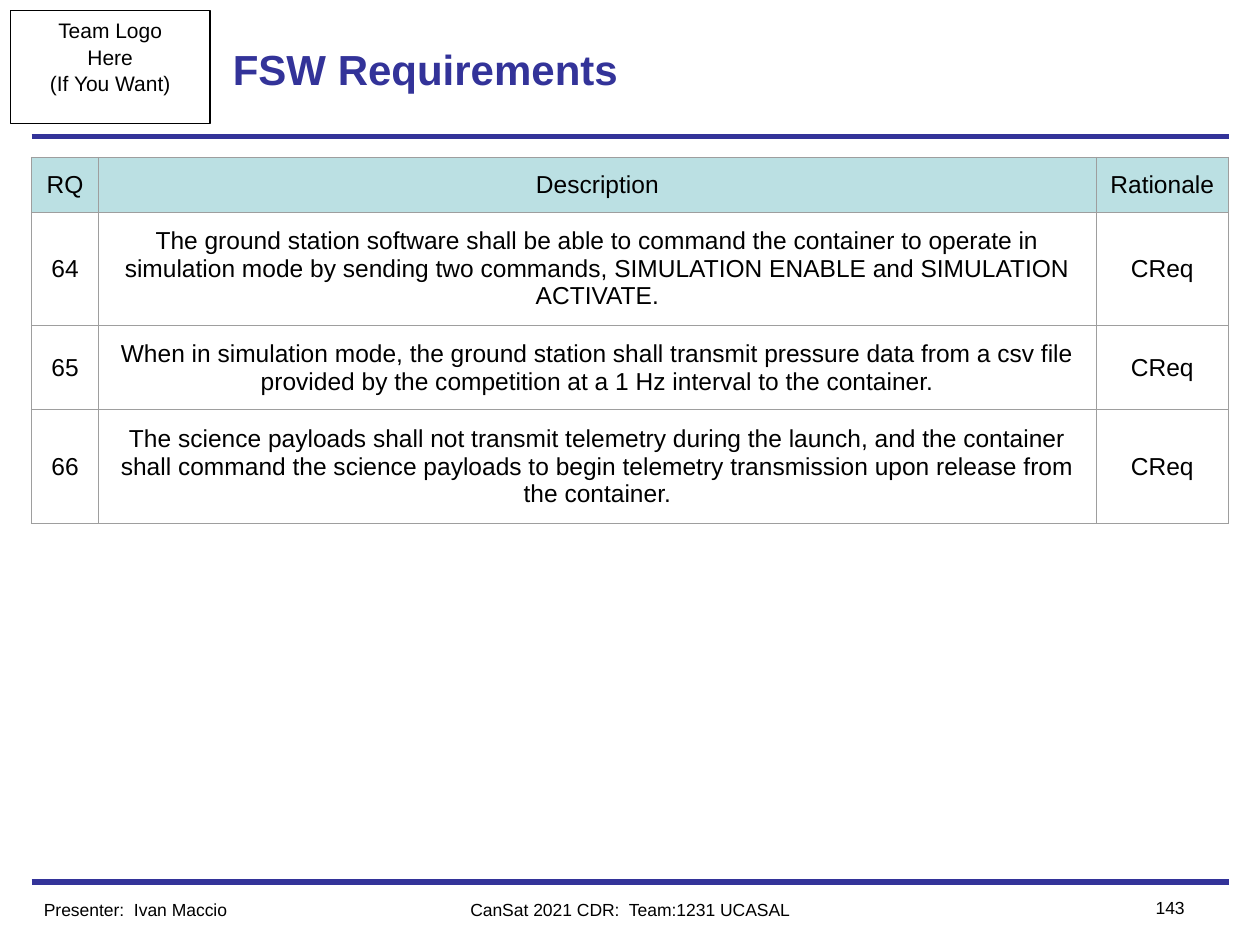
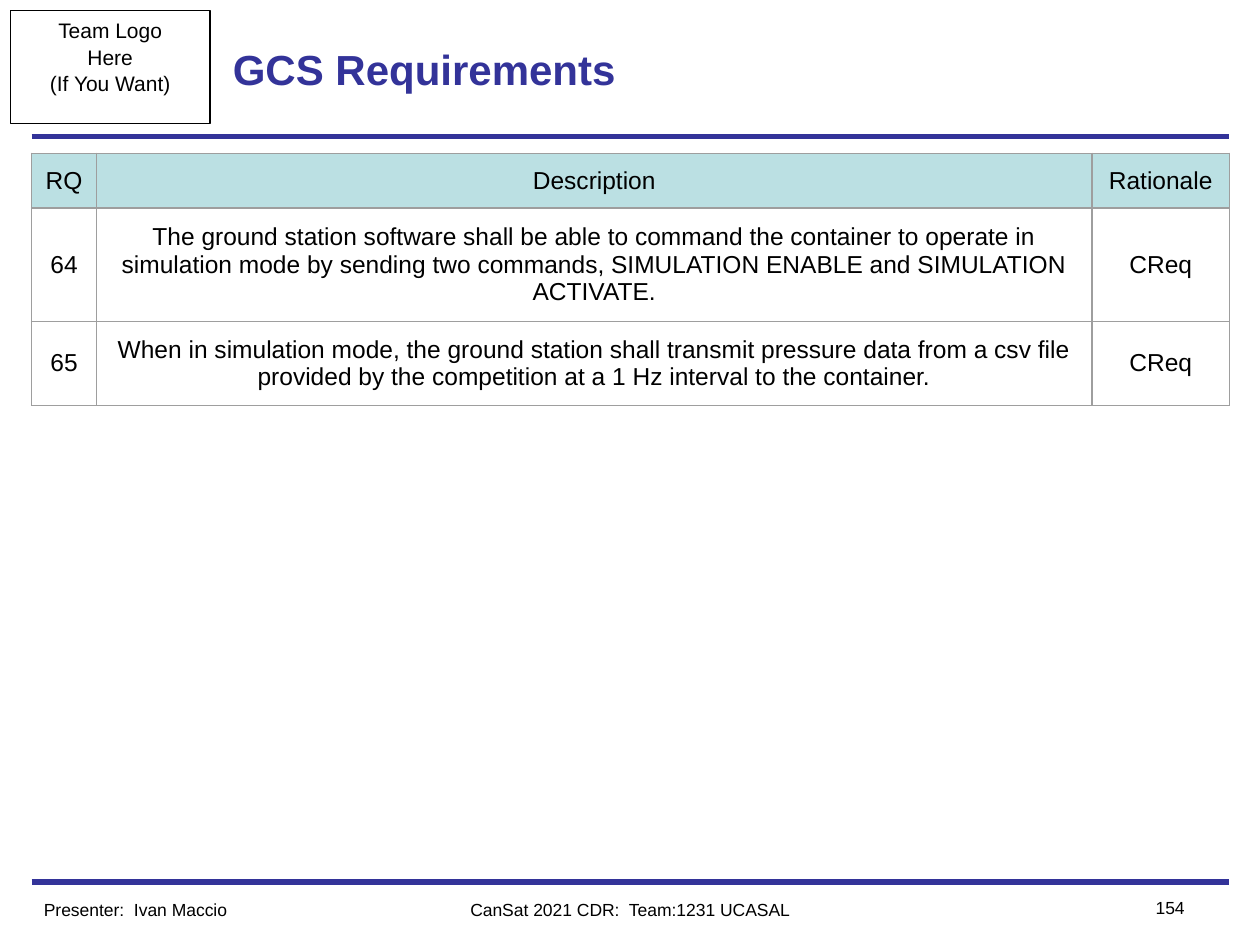
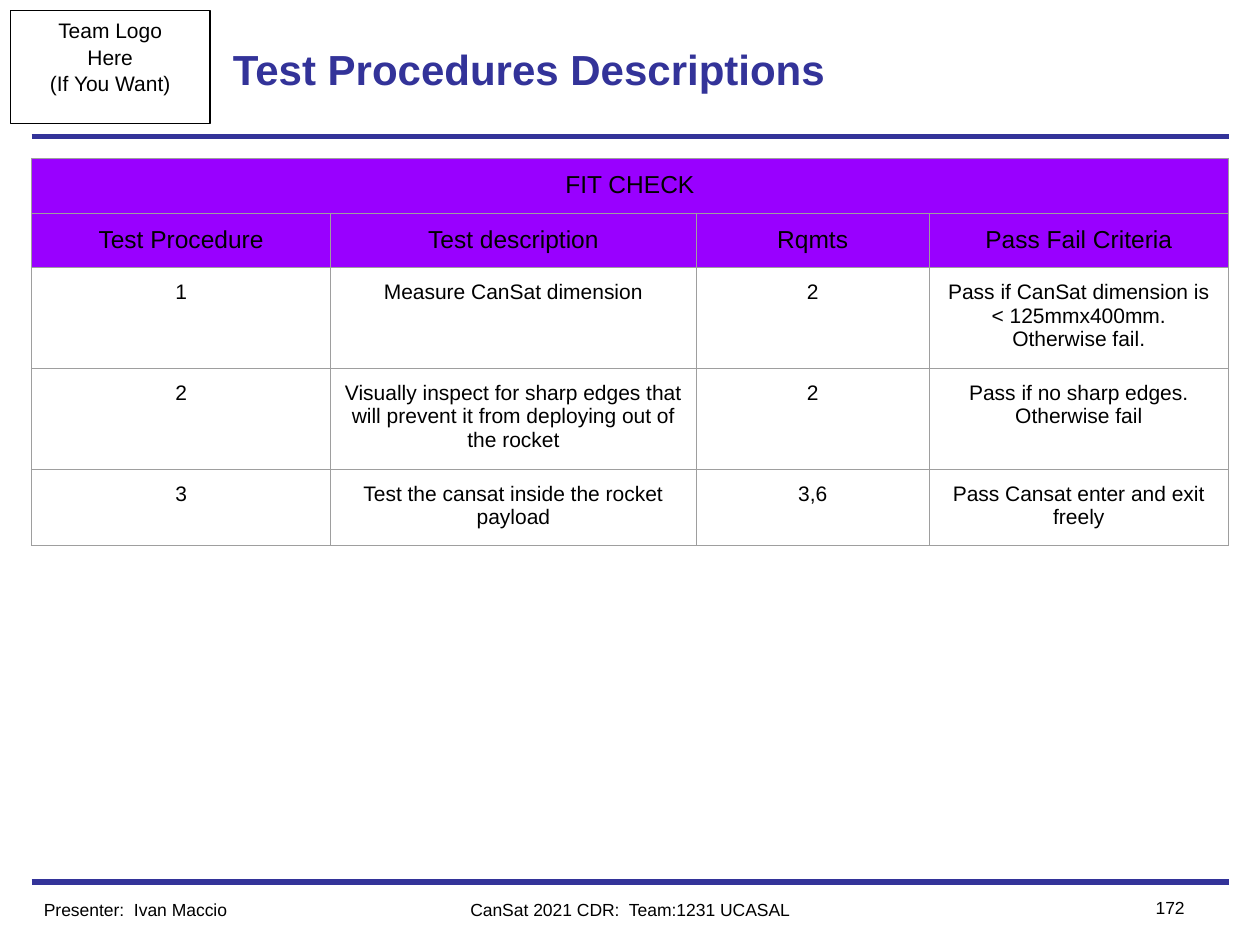
import pptx
import pptx.dml.color
import pptx.enum.shapes
import pptx.enum.text
import pptx.oxml
import pptx.oxml.ns
import pptx.util

COLORS = {
    "navy": "333399",
    "ink": "000000",
    "aqua": "BBE0E3",
    "violet": "9900FF",
    "grid": "9E9E9E",
}
FONT = "Arial"
COLUMNS, ROWS = 120, 90
UNIT = pptx.util.Inches(10) // COLUMNS
MARGIN, CONTENT_WIDTH = 3, 114
ALIGN = pptx.enum.text.PP_ALIGN
ANCHOR = pptx.enum.text.MSO_ANCHOR

REQUIREMENTS = {
    "64": "The ground station software shall be able to command the container to operate in "
          "simulation mode by sending two commands, SIMULATION ENABLE and SIMULATION ACTIVATE.",
    "65": "When in simulation mode, the ground station shall transmit pressure data from a csv "
          "file provided by the competition at a 1 Hz interval to the container.",
    "66": "The science payloads shall not transmit telemetry during the launch, and the "
          "container shall command the science payloads to begin telemetry transmission upon "
          "release from the container.",
}
FIT_CHECK = [
    ["FIT CHECK"],
    ["Test Procedure", "Test description", "Rqmts", "Pass Fail Criteria"],
    ["1", "Measure CanSat dimension", "2",
     "Pass if CanSat dimension is < 125mmx400mm. Otherwise fail."],
    ["2", "Visually inspect for sharp edges that will prevent it from deploying out of the rocket",
     "2", "Pass if no sharp edges. Otherwise fail"],
    ["3", "Test the cansat inside the rocket payload", "3,6",
     "Pass Cansat enter and exit freely"],
]


def grid(*cells):
    return [round(cell * UNIT) for cell in cells]


def rgb(name):
    return pptx.dml.color.RGBColor.from_string(COLORS[name])


def write(frame, lines, size, align=ALIGN.LEFT, color="ink", bold=False, spacing=None):
    frame.word_wrap = True
    for index, line in enumerate(lines):
        paragraph = frame.paragraphs[0] if index == 0 else frame.add_paragraph()
        paragraph.alignment = align
        paragraph.line_spacing = spacing
        run = paragraph.add_run()
        run.text = line
        run.font.name = FONT
        run.font.size = pptx.util.Pt(size)
        run.font.bold = bold
        run.font.color.rgb = rgb(color)


def add_label(slide, box, text, size, anchor=ANCHOR.TOP, **style):
    frame = slide.shapes.add_textbox(*grid(*box)).text_frame
    write(frame, [text], size, **style)
    frame.vertical_anchor = anchor


def add_rule(slide, row):
    rule = slide.shapes.add_connector(
        pptx.enum.shapes.MSO_CONNECTOR.STRAIGHT,
        *grid(MARGIN, row, MARGIN + CONTENT_WIDTH, row))
    rule.line.color.rgb = rgb("navy")
    rule.line.width = pptx.util.Pt(3)
    properties = rule._element.spPr
    properties.append(properties.makeelement(pptx.oxml.ns.qn("a:effectLst"), {}))


def add_header(slide, box, title):
    left, top, width, height = box
    team_logo = slide.shapes.add_shape(
        pptx.enum.shapes.MSO_SHAPE.RECTANGLE, *grid(left, top, 19, height - 0.2))
    team_logo.shadow.inherit = False
    team_logo.fill.background()
    team_logo.line.color.rgb = rgb("ink")
    team_logo.line.width = pptx.util.Pt(0.75)
    write(team_logo.text_frame, ["Team Logo", "Here", "(If You Want)"], 12,
          align=ALIGN.CENTER, spacing=1.05)
    team_logo.text_frame.vertical_anchor = ANCHOR.TOP
    add_label(slide, (left + 20, top, width - 20, height), title, 24,
              anchor=ANCHOR.MIDDLE, color="navy", bold=True)
    add_rule(slide, top + height + 1)


def add_footer(slide, box, page):
    left, top, width, height = box
    add_rule(slide, top - 1)
    add_label(slide, (left, top, 30, height), "Presenter:  Ivan Maccio", 10)
    add_label(slide, (left + 33, top, 48, height), "CanSat 2021 CDR:  Team:1231 UCASAL", 10,
              align=ALIGN.CENTER)
    add_label(slide, (left + width - 12, top - 0.15, 9, height), page, 10, align=ALIGN.RIGHT)


def add_borders(cell):
    properties = cell._tc.get_or_add_tcPr()
    for index, side in enumerate(("lnL", "lnR", "lnT", "lnB")):
        properties.insert(index, pptx.oxml.parse_xml(
            f'<a:{side} {pptx.oxml.ns.nsdecls("a")} w="9525"><a:solidFill>'
            f'<a:srgbClr val="{COLORS["grid"]}"/></a:solidFill></a:{side}>'))


def add_grid_table(slide, top, widths, rows, header_rows, header_color, body_size, anchor):
    row_height = 5.15
    table = slide.shapes.add_table(
        len(rows), len(widths),
        *grid(MARGIN, top, sum(widths), row_height * len(rows))).table
    table.first_row = table.horz_banding = False
    for column, width in zip(table.columns, grid(*widths)):
        column.width = width
    for row_index, texts in enumerate(rows):
        is_header = row_index < header_rows
        if len(texts) == 1:
            table.cell(row_index, 0).merge(table.cell(row_index, len(widths) - 1))
        for column_index in range(len(widths)):
            cell = table.cell(row_index, column_index)
            cell.margin_left = cell.margin_right = pptx.util.Inches(0.1)
            cell.margin_top = cell.margin_bottom = pptx.util.Inches(0.1)
            cell.vertical_anchor = anchor
            if is_header:
                cell.fill.solid()
                cell.fill.fore_color.rgb = rgb(header_color)
            else:
                cell.fill.background()
            add_borders(cell)
            write(cell.text_frame, texts[column_index:column_index + 1],
                  14 if is_header else body_size, align=ALIGN.CENTER)


def add_framed_slide(deck, title, page):
    slide = deck.slides.add_slide(deck.slide_layouts[6])
    add_header(slide, (1, 1, 98, 11), title)
    add_footer(slide, (MARGIN, 85, CONTENT_WIDTH, 3.2), page)
    return slide


def add_requirements_slide(deck, title, page, top, widths, numbers):
    slide = add_framed_slide(deck, title, page)
    rows = [["RQ", "Description", "Rationale"]]
    rows += [[number, REQUIREMENTS[number], "CReq"] for number in numbers]
    add_grid_table(slide, top, widths, rows, 1, "aqua", 14, ANCHOR.MIDDLE)


def add_procedures_slide(deck, title, page):
    slide = add_framed_slide(deck, title, page)
    add_grid_table(slide, 15.1, (28.5, 34.8, 22.2, 28.5), FIT_CHECK, 2, "violet", 12, ANCHOR.TOP)


def main():
    deck = pptx.Presentation()
    deck.slide_width, deck.slide_height = grid(COLUMNS, ROWS)
    add_requirements_slide(deck, "FSW Requirements", "143", 15, (6.4, 95, 12.6),
                           ("64", "65", "66"))
    add_requirements_slide(deck, "GCS Requirements", "154", 14.6, (6.2, 94.8, 13.1),
                           ("64", "65"))
    add_procedures_slide(deck, "Test Procedures Descriptions", "172")
    deck.save("out.pptx")


if __name__ == "__main__":
    main()
